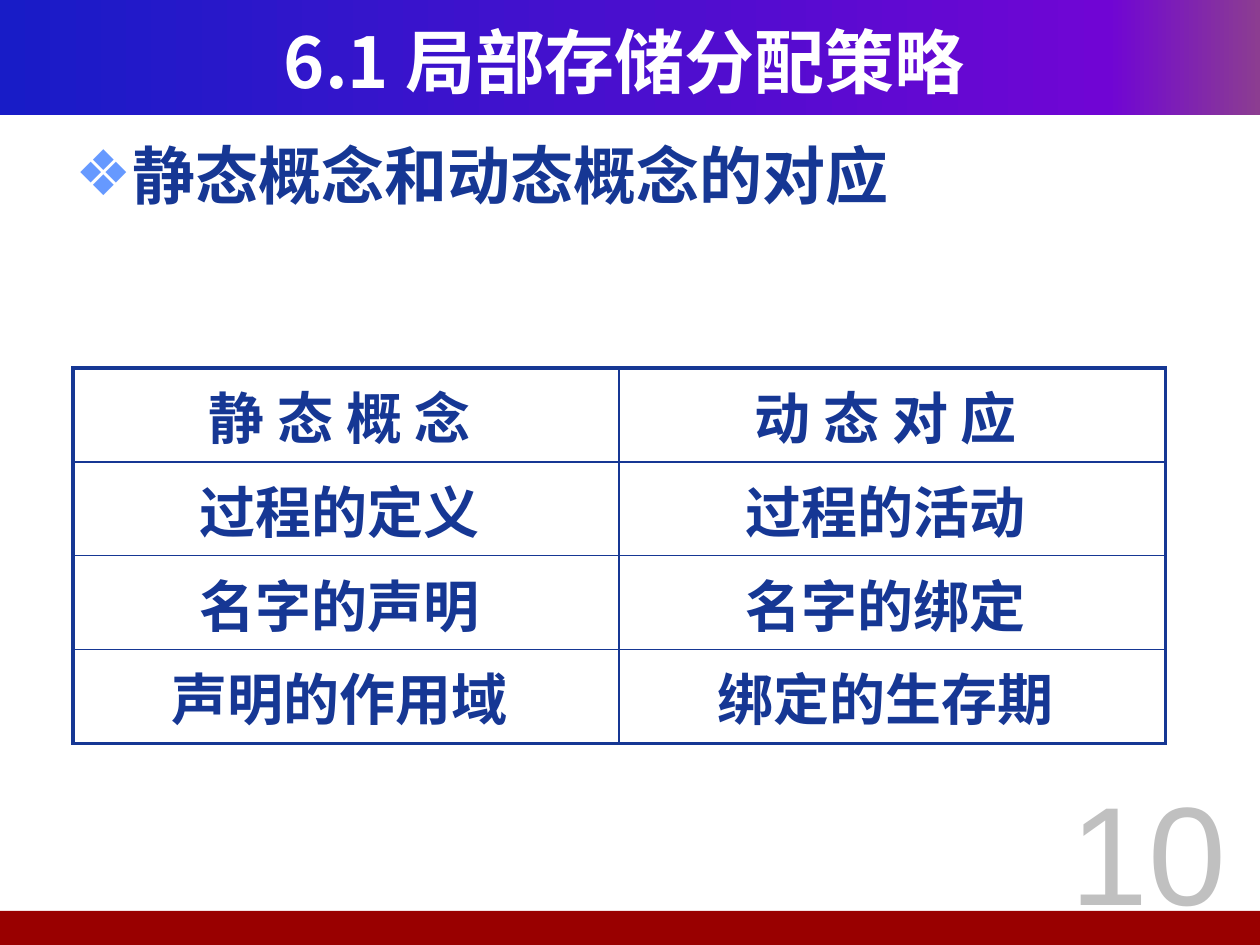
"""Build the slide that maps static concepts to their dynamic counterparts."""
from lxml import etree
from pptx import Presentation
from pptx.dml.color import RGBColor
from pptx.enum.shapes import MSO_SHAPE
from pptx.enum.text import MSO_ANCHOR, PP_ALIGN
from pptx.oxml import parse_xml
from pptx.oxml.ns import nsdecls, qn
from pptx.util import Inches, Pt

CENTER, LEFT = PP_ALIGN.CENTER, PP_ALIGN.LEFT
MIDDLE, TOP = MSO_ANCHOR.MIDDLE, MSO_ANCHOR.TOP
RECTANGLE = MSO_SHAPE.RECTANGLE
NAVY, CJK = "163794", "Noto Sans CJK SC"


def rgb(color):
    return RGBColor.from_string(color)


def write(frame, text, size, color, align=CENTER, font=CJK, bold=True):
    frame.text = text
    frame.word_wrap = True
    paragraph = frame.paragraphs[0]
    paragraph.alignment = align
    paragraph.space_before = Pt(0)
    run = paragraph.runs[0]
    run.font.size, run.font.bold, run.font.name = Pt(size), bold, font
    run.font.color.rgb = rgb(color)
    etree.SubElement(run.font._element, qn("a:ea"), typeface=font)


deck = Presentation()
deck.slide_width, deck.slide_height = Inches(10), Inches(7.5)
slide = deck.slides.add_slide(deck.slide_layouts[1])
shapes = slide.shapes
heading, topic = slide.placeholders

header_bar = shapes.add_shape(RECTANGLE, 0, 0, deck.slide_width, Inches(0.91))
footer_bar = shapes.add_shape(RECTANGLE, 0, Inches(7.23), deck.slide_width, Inches(0.27))
for bar in (header_bar, footer_bar):
    bar.shadow.inherit = False
    bar.line.fill.background()
    bar.fill.solid()
    bar.fill.fore_color.rgb = rgb("990000")
    shapes._spTree.insert(2, bar._element)

stops = "".join(
    f'<a:gs pos="{share * 1000}"><a:srgbClr val="{color}"/></a:gs>'
    for share, color in ((0, "181CC7"), (88, "7005D4"), (100, "8C3D91"))
)
header_fill = header_bar._element.spPr.find(qn("a:solidFill"))
header_fill.getparent().replace(header_fill, parse_xml(
    f'<a:gradFill {nsdecls("a")}><a:gsLst>{stops}</a:gsLst><a:lin ang="0" scaled="0"/></a:gradFill>'
))

heading.left, heading.top = Inches(0.33), Inches(0.17)
heading.width, heading.height = Inches(9.25), Inches(0.62)
heading.text_frame.vertical_anchor = MIDDLE
write(heading.text_frame, "6.1 局部存储分配策略", 40, "FFFFFF")

topic.left, topic.top = Inches(0.5), Inches(1.03)
topic.width, topic.height = Inches(9), Inches(5.74)
topic.text_frame.vertical_anchor = TOP
write(topic.text_frame, "静态概念和动态概念的对应", 36, NAVY, LEFT)
bullet = topic.text_frame.paragraphs[0]._p.get_or_add_pPr()
bullet.set("marL", str(Inches(0.38)))
bullet.set("indent", str(-Inches(0.38)))
bullet_color = etree.SubElement(bullet, qn("a:buClr"))
etree.SubElement(bullet_color, qn("a:srgbClr"), val="6699FF")
etree.SubElement(bullet, qn("a:buChar"), char="❖")

page_number = shapes.add_textbox(Inches(8.23), Inches(6.03), Inches(1.77), Inches(1.42))
write(page_number.text_frame, "10", 80, "C0C0C0", font="Arial", bold=False)

concepts = (
    ("静 态 概 念 ", "动 态 对 应 "),
    ("过程的定义 ", "过程的活动 "),
    ("名字的声明 ", "名字的绑定 "),
    ("声明的作用域 ", "绑定的生存期 "),
)
rows, columns = len(concepts), len(concepts[0])
table = shapes.add_table(
    rows, columns, Inches(0.58), Inches(2.92), Inches(8.67), Inches(2.98)
).table
table.first_row = table.horz_banding = False
for row, pair in enumerate(concepts):
    for column, concept in enumerate(pair):
        cell = table.cell(row, column)
        cell.vertical_anchor = TOP
        write(cell.text_frame, concept, 32, NAVY)
        outer_sides = {
            "lnL": column == 0,
            "lnR": column == columns - 1,
            "lnT": row == 0,
            "lnB": row == rows - 1,
        }
        properties = cell._tc.get_or_add_tcPr()
        for side, is_outer in outer_sides.items():
            border = etree.SubElement(
                properties, qn(f"a:{side}"), w=str(Pt(2.25 if is_outer else 1))
            )
            stroke = etree.SubElement(border, qn("a:solidFill"))
            etree.SubElement(stroke, qn("a:srgbClr"), val=NAVY)
        cell.fill.background()

deck.save("out.pptx")
